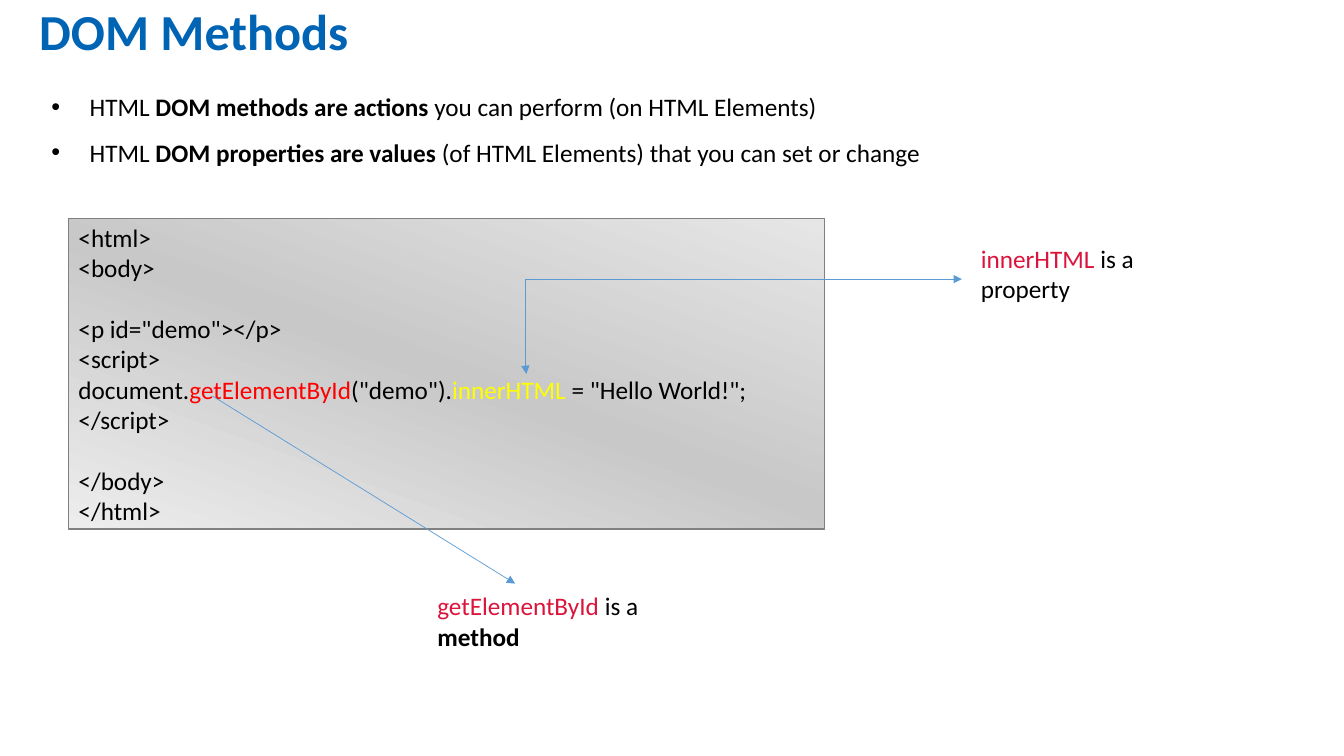
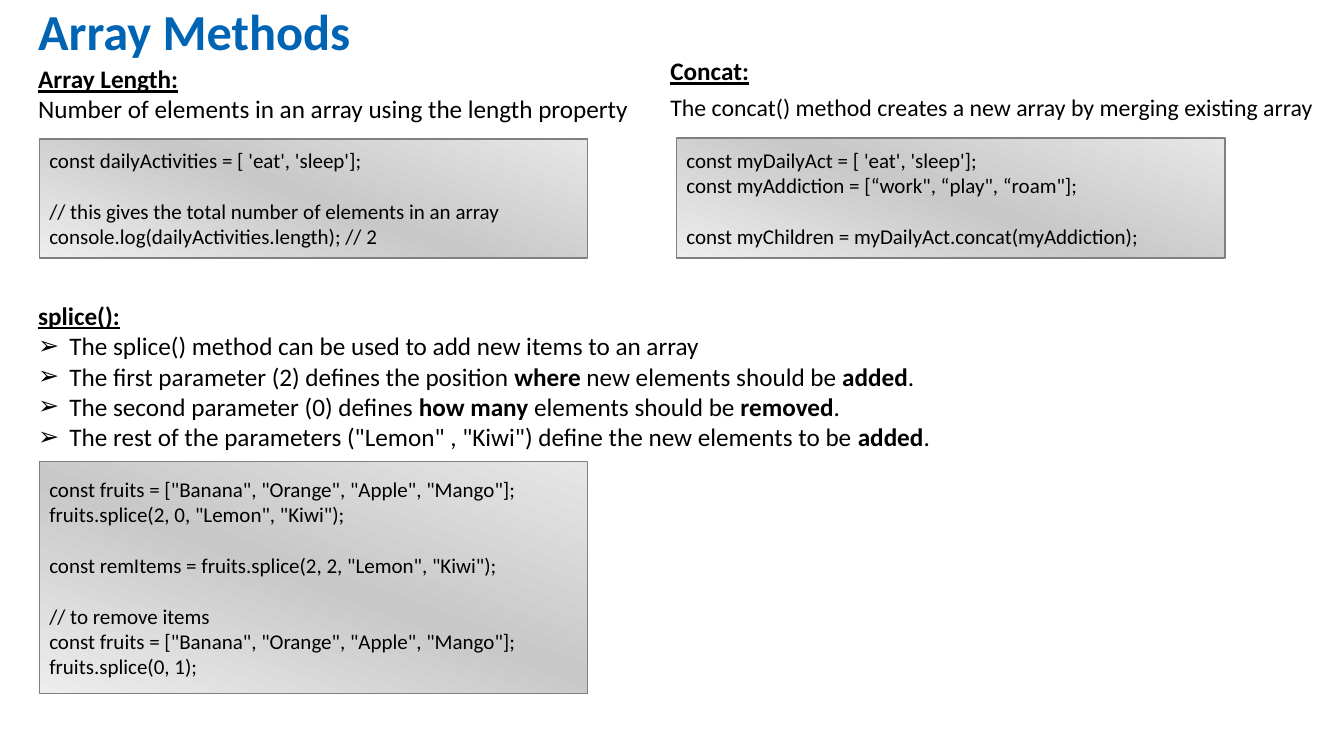
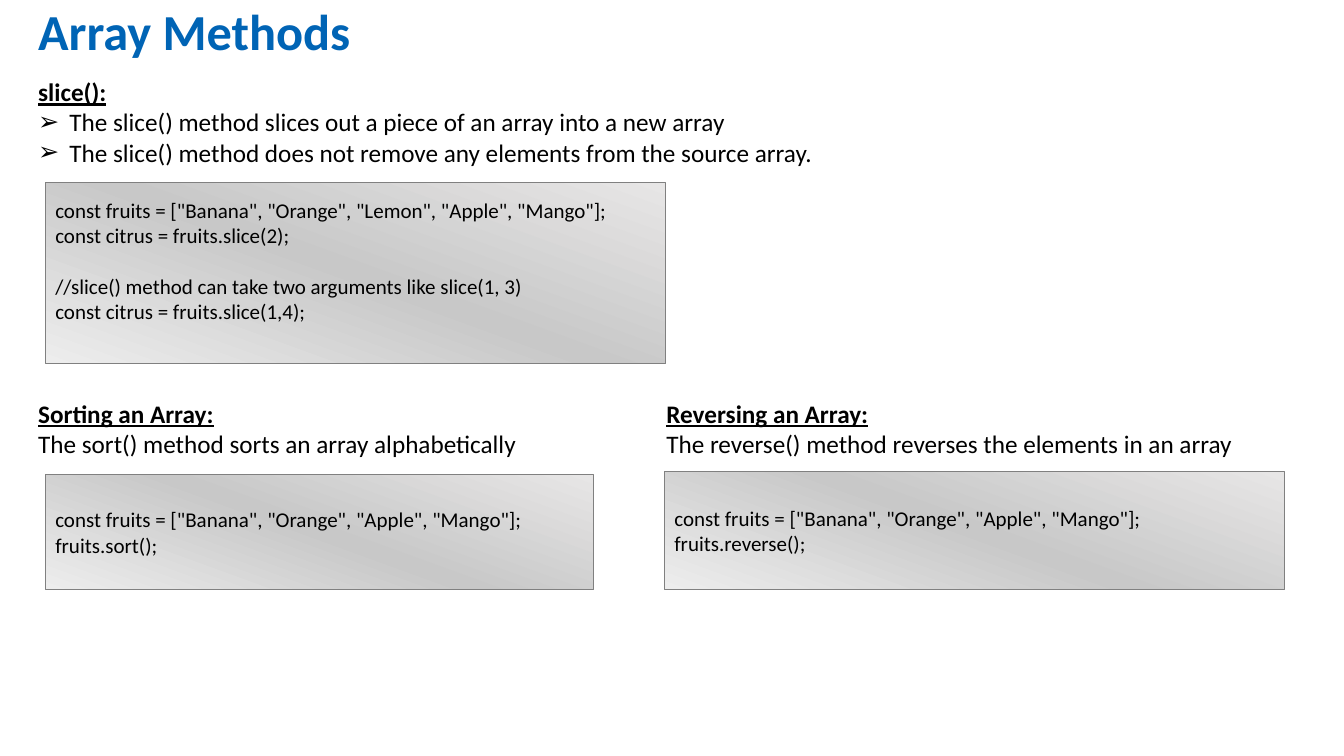
from dataclasses import dataclass

from lxml import etree
from pptx import Presentation
from pptx.dml.color import RGBColor
from pptx.enum.shapes import MSO_CONNECTOR, MSO_SHAPE
from pptx.enum.text import MSO_ANCHOR, PP_ALIGN
from pptx.oxml.ns import qn
from pptx.util import Inches, Pt

RECT = MSO_SHAPE.RECTANGLE
STRAIGHT, ELBOW = MSO_CONNECTOR.STRAIGHT, MSO_CONNECTOR.ELBOW
TOP, MIDDLE = MSO_ANCHOR.TOP, MSO_ANCHOR.MIDDLE
LEFT = PP_ALIGN.LEFT


@dataclass(frozen=True)
class Theme:
    font: str = "Calibri"
    title: str = "0064B5"
    ink: str = "000000"
    term: str = "DC143C"
    method: str = "FF0000"
    prop: str = "FFFF00"
    arrow: str = "5B9BD5"
    border: str = "808080"
    panel: tuple = ((0, "E7E6E6"), (50, "C8C8C8"), (100, "EDEDED"))
    panel_angle: int = 110
    title_size: int = 36
    body_size: int = 18
    note_size: int = 17
    code_size: int = 15
    line_height: float = 1.22


THEME = Theme()
BOLD = {"bold": True}
HEAD = {"bold": True, "underline": True}
DOT = ("•", 0.5, 0.38)      # character, left margin, hanging indent
ARROWHEAD = ("➢", 0.31, 0.31)


def add_run(p, text, size=THEME.body_size, color=THEME.ink, bold=False, underline=False):
    r = p.add_run()
    r.text = text
    f = r.font
    f.name, f.size, f.bold, f.underline = THEME.font, Pt(size), bold, underline
    f.color.rgb = RGBColor.from_string(color)


def sub(parent, tag, **attrs):
    return etree.SubElement(parent, qn(tag), {k: str(v) for k, v in attrs.items()})


def set_bullet(p, bullet):
    char, margin, hang = bullet
    pPr = p._p.get_or_add_pPr()
    pPr.set("marL", str(Inches(margin)))
    pPr.set("indent", str(-Inches(hang)))
    sub(pPr, "a:buFont", typeface="Arial")
    sub(pPr, "a:buChar", char=char)


class Deck:
    """Holds the style and the current slide; places are percent of the slide."""

    def __init__(self, theme):
        self.theme = theme
        self.prs = Presentation()
        self.prs.slide_width, self.prs.slide_height = Inches(13.33), Inches(7.5)

    def slide(self, title, x=2.1):
        self.s = self.prs.slides.add_slide(self.prs.slide_layouts[6])
        t = self.theme
        self.text(x, 0.27, 80.3, 9.2, [title], spacing=0.9,
                  size=t.title_size, color=t.title, bold=True)

    def at(self, *lengths):
        sides = (self.prs.slide_width, self.prs.slide_height) * 2
        return [round(side * n / 100) for side, n in zip(sides, lengths)]

    def fill_text(self, tf, paragraphs, spacing=None, bullet=None, **fmt):
        """A paragraph is text or a list of runs: text or (text, format)."""
        tf.word_wrap = True
        size = fmt.get("size", self.theme.body_size)
        gap = 0
        p = None
        for runs in paragraphs:
            if not runs:
                gap += size * self.theme.line_height
                continue
            p = tf.paragraphs[0] if p is None else tf.add_paragraph()
            p.alignment = LEFT
            if spacing:
                p.line_spacing = spacing
            if gap:
                p.space_before = Pt(gap)
            gap = 0
            runs = [runs] if isinstance(runs, str) else runs
            for item in runs:
                text, own = (item, {}) if isinstance(item, str) else item
                add_run(p, text, **{**fmt, **own})
            if bullet and runs[0][1:] != (HEAD,) and (runs[0], HEAD) != runs[0]:
                if not (isinstance(runs[0], tuple) and runs[0][1] is HEAD):
                    set_bullet(p, bullet)
        tf.margin_bottom = Inches(0.05) + Pt(gap)

    def text(self, x, y, w, h, paragraphs, **fmt):
        tf = self.s.shapes.add_textbox(*self.at(x, y, w, h)).text_frame
        tf.vertical_anchor = TOP
        self.fill_text(tf, paragraphs, **fmt)

    def section(self, x, y, w, h, heading, paragraphs, **fmt):
        self.text(x, y, w, h, [[(heading, HEAD)], *paragraphs], **fmt)

    def code(self, x, y, w, h, lines, size=THEME.code_size):
        t = self.theme
        sp = self.s.shapes.add_shape(RECT, *self.at(x, y, w, h))
        sp.shadow.inherit = False
        sp.fill.gradient()
        grad = sp.fill._xPr.find(qn("a:gradFill"))
        for child in list(grad):
            grad.remove(child)
        stops = sub(grad, "a:gsLst")
        for pos, color in t.panel:
            sub(sub(stops, "a:gs", pos=pos * 1000), "a:srgbClr", val=color)
        sub(grad, "a:lin", ang=t.panel_angle * 60000, scaled=0)
        sp.line.color.rgb = RGBColor.from_string(t.border)
        sp.line.width = Pt(1)
        sp.text_frame.vertical_anchor = MIDDLE
        self.fill_text(sp.text_frame, lines, size=size)

    def arrow(self, x1, y1, x2, y2, kind=STRAIGHT, ends=("tailEnd",), bend=None):
        c = self.s.shapes.add_connector(kind, *self.at(x1, y1, x2, y2))
        c.line.color.rgb = RGBColor.from_string(self.theme.arrow)
        c.line.width = Pt(0.5)
        for end in ends:
            sub(c.line._get_or_add_ln(), "a:" + end, type="triangle")
        spPr = c._element.spPr
        sub(spPr, "a:effectLst")
        if bend is not None:
            sub(spPr.find(qn("a:prstGeom")).find(qn("a:avLst")), "a:gd",
                name="adj1", fmla=f"val {bend}")


def dom_methods(d):
    t = d.theme
    d.slide("DOM Methods", x=2.18)
    d.text(2.18, 9.47, 75.77, 19.47, [
        ["HTML ", ("DOM methods are actions ", BOLD), "you can perform (on HTML Elements)"],
        ["HTML ", ("DOM properties are values ", BOLD),
         "(of HTML Elements) that you can set or change"],
    ], spacing=1.5, bullet=DOT)
    d.code(5.1, 28.93, 56.26, 41.07, [
        "<html>", "<body>", "",
        '<p id="demo"></p>', "<script>",
        ["document.", ("getElementById", {"color": t.method}), '("demo").',
         ("innerHTML", {"color": t.prop}), ' = "Hello World!";'],
        "</script>", "",
        "</body>", "</html>",
    ], size=t.body_size)
    # Callouts
    term = {"color": t.term}
    d.arrow(15.83, 52.4, 38.33, 77.2)
    d.text(31.8, 77.47, 16.43, 9.47,
           [[("getElementById ", term), "is a ", ("method", BOLD)]])
    d.arrow(39.16, 49.47, 71.57, 36.93, ELBOW, ("headEnd", "tailEnd"), bend=-200)
    d.text(72.24, 31.47, 15.68, 9.47, [[("innerHTML ", term), "is a property"]])


FRUITS = 'const fruits = ["Banana", "Orange", "Apple", "Mango"];'
MARGIN = 2.1
NARROW, WIDE = 40.8, 46.14  # code panel widths


def adding_items(d):
    d.slide("Array Methods")
    # Length
    d.section(MARGIN, 7.73, 46.36, 9.47, "Array Length:",
              ["Number of elements in an array using the length property"])
    d.code(2.93, 18.4, NARROW, 15.73, [
        "const dailyActivities = [ 'eat', 'sleep'];", "",
        "// this gives the total number of elements in an array",
        "console.log(dailyActivities.length); // 2"])
    # Concat
    d.code(50.34, 18.27, NARROW, 15.87, [
        "const myDailyAct = [ 'eat', 'sleep'];",
        'const myAddiction = [“work", “play", “roam"];', "",
        "const myChildren = myDailyAct.concat(myAddiction);"])
    d.section(49.14, 6.67, 7.43, 5.33, "Concat:", [])
    d.text(49.14, 11.6, 53.11, 5.2,
           ["The concat() method creates a new array by merging existing array"],
           size=d.theme.note_size)
    # Splice
    d.section(MARGIN, 39.07, 78.24, 25.6, "splice():", [
        "The splice() method can be used to add new items to an array",
        ["The first parameter (2) defines the position ", ("where", BOLD),
         " new elements should be ", ("added", BOLD), "."],
        ["The second parameter (0) defines ", ("how many", BOLD),
         " elements should be ", ("removed", BOLD), "."],
        ['The rest of the parameters ("Lemon" , "Kiwi") define the new elements to be ',
         ("added", BOLD), "."],
    ], bullet=ARROWHEAD)
    d.code(2.93, 61.07, NARROW, 30.67, [
        FRUITS, 'fruits.splice(2, 0, "Lemon", "Kiwi");', "",
        'const remItems = fruits.splice(2, 2, "Lemon", "Kiwi");', "",
        "// to remove items", FRUITS, "fruits.splice(0, 1);"])


def slicing_and_order(d):
    d.slide("Array Methods")
    # Slice
    d.section(MARGIN, 9.47, 65.34, 17.47, "slice():", [
        "The slice() method slices out a piece of an array into a new array",
        "The slice() method does not remove any elements from the source array.",
    ], bullet=ARROWHEAD)
    d.code(3.38, 24.13, WIDE, 24, [
        'const fruits = ["Banana", "Orange", "Lemon", "Apple", "Mango"];',
        "const citrus = fruits.slice(2);", "",
        "//slice() method can take two arguments like slice(1, 3)",
        "const citrus = fruits.slice(1,4);", ""])
    # Sort and reverse
    d.section(MARGIN, 52, 43.59, 9.47, "Sorting an Array:",
              ["The sort() method sorts an array alphabetically"])
    d.code(3.38, 62.8, NARROW, 15.2, [FRUITS, "fruits.sort();"])
    d.section(48.84, 52, 48.76, 13.47, "Reversing an Array:",
              ["The reverse() method reverses the elements in an array"])
    d.code(49.44, 62.4, WIDE, 15.6, [FRUITS, "fruits.reverse();"])


def main():
    d = Deck(THEME)
    for build in (dom_methods, adding_items, slicing_and_order):
        build(d)
    d.prs.save("out.pptx")


if __name__ == "__main__":
    main()
